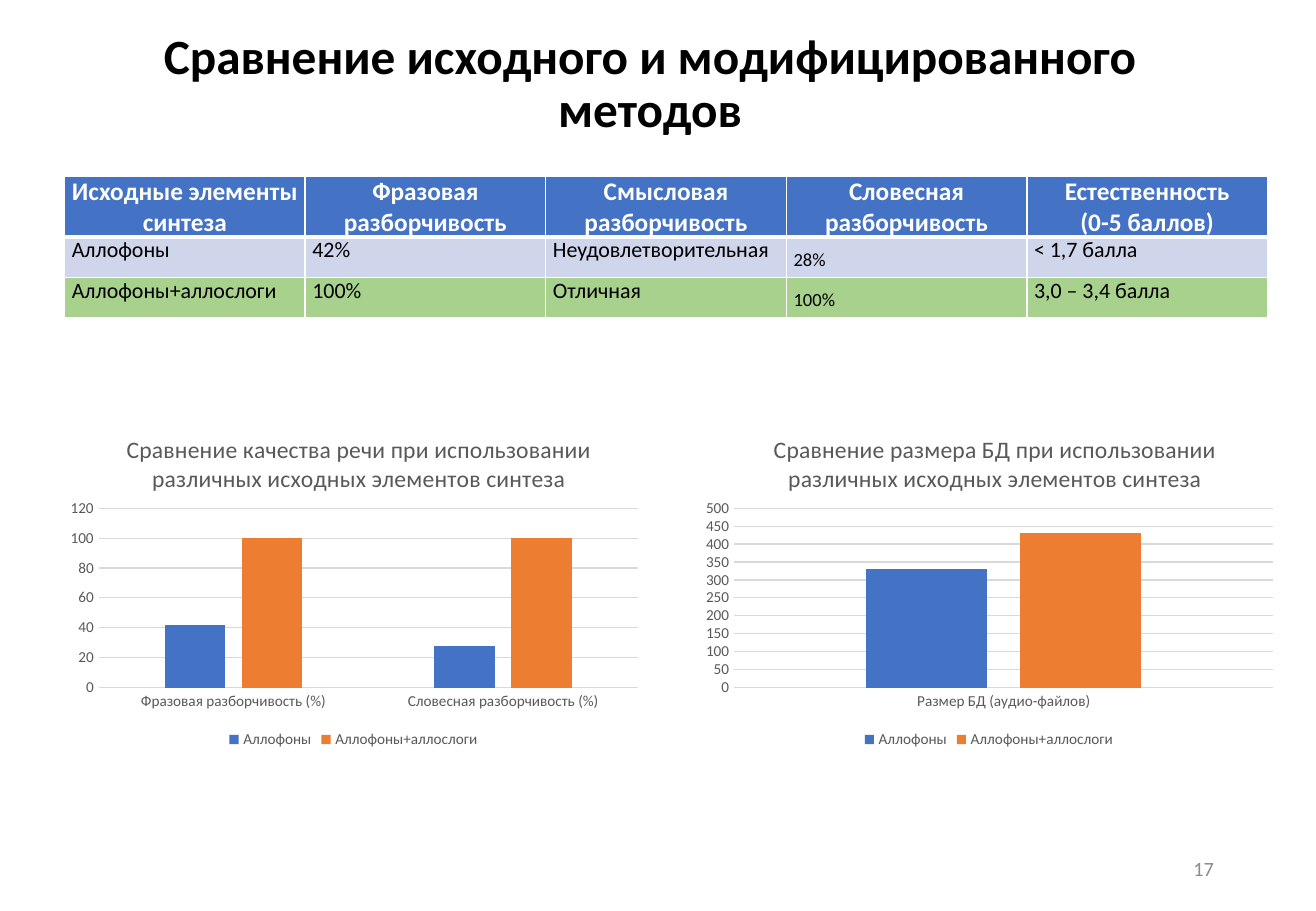
import pptx
import pptx.chart.data
import pptx.dml.color
import pptx.enum.chart
import pptx.enum.text
import pptx.oxml
import pptx.oxml.ns
import pptx.util

Pt = pptx.util.Pt
ALIGN = pptx.enum.text.PP_ALIGN
FONT = "Calibri"
COLORS = {
    "black": "000000", "white": "FFFFFF", "number": "8C8C8C",
    "chart text": "595959", "grid": "D9D9D9", "header": "4472C4",
    "original": "CFD5EA", "modified": "A9D18E",
    "Аллофоны": "4472C4", "Аллофоны+аллослоги": "ED7D31",
}
HEADINGS = ["Исходные элементы синтеза", "Фразовая разборчивость",
            "Смысловая разборчивость", "Словесная разборчивость",
            "Естественность\n(0-5 баллов)"]
RESULTS = {
    "original": ["Аллофоны", "42%", "Неудовлетворительная", "28%", "< 1,7 балла"],
    "modified": ["Аллофоны+аллослоги", "100%", "Отличная", "100%", "3,0 – 3,4 балла"],
}
WORD_COLUMN = 3


def rgb(name):
    return pptx.dml.color.RGBColor.from_string(COLORS[name])


def set_font(font, size, color, bold=False):
    font.name, font.size, font.bold = FONT, Pt(size), bold
    font.color.rgb = rgb(color)


def write(frame, text, size=13, color="black", bold=False, align=ALIGN.LEFT, spacing=None):
    """Fill a text frame, one paragraph per line of text."""
    frame.word_wrap = True
    frame.text = text
    for para in frame.paragraphs:
        para.alignment = align
        if spacing:
            para.line_spacing = spacing
        for span in para.runs:
            set_font(span.font, size, color, bold)


def add_text(page, left, top, width, height, text, **text_format):
    box = page.shapes.add_textbox(Pt(left), Pt(top), Pt(width), Pt(height))
    box.text_frame.vertical_anchor = pptx.enum.text.MSO_ANCHOR.MIDDLE
    write(box.text_frame, text, **text_format)


def set_borders(cell, **widths):
    properties = cell._tc.get_or_add_tcPr()
    for side in "LRTB":
        width = int(Pt(widths.get(side, 1)))
        properties.append(pptx.oxml.parse_xml(
            f'<a:ln{side} {pptx.oxml.ns.nsdecls("a")} w="{width}"><a:solidFill>'
            f'<a:srgbClr val="{COLORS["white"]}"/></a:solidFill></a:ln{side}>'))


def fill_cell(cell, text, fill, borders, **text_format):
    cell.margin_left = cell.margin_right = Pt(4.3)
    cell.margin_top = cell.margin_bottom = 0
    set_borders(cell, **borders)
    cell.fill.solid()
    cell.fill.fore_color.rgb = rgb(fill)
    write(cell.text_frame, text, **text_format)


def add_results_table(page):
    heights = [35.5, 24, 24]
    table = page.shapes.add_table(len(heights), len(HEADINGS), Pt(38.3), Pt(104.4),
                                  Pt(713), Pt(sum(heights))).table
    for row, height in zip(table.rows, heights):
        row.height = Pt(height)
    for column, heading in enumerate(HEADINGS):
        fill_cell(table.cell(0, column), heading, "header", {"B": 3},
                  size=15, color="white", bold=True, align=ALIGN.CENTER)
    for row, (fill, texts) in enumerate(RESULTS.items(), start=1):
        for column, text in enumerate(texts):
            word_format = {"size": 11, "spacing": 1.5} if column == WORD_COLUMN else {}
            fill_cell(table.cell(row, column), text, fill, {"T": 3 if row == 1 else 1},
                      align=ALIGN.JUSTIFY, **word_format)


def place(element, target=None, **fractions):
    """Set the manual layout of a chart part, as fractions of the chart."""
    for old in element.findall(pptx.oxml.ns.qn("c:layout")):
        element.remove(old)
    inner = f'<c:layoutTarget val="{target}"/>' if target else ""
    modes = "".join(f'<c:{key}Mode val="edge"/>' for key in "xy")
    values = "".join(f'<c:{key} val="{value}"/>' for key, value in fractions.items())
    layout = pptx.oxml.parse_xml(
        f'<c:layout {pptx.oxml.ns.nsdecls("c")}><c:manualLayout>{inner}{modes}{values}'
        f'</c:manualLayout></c:layout>')
    title_text = element.find(pptx.oxml.ns.qn("c:tx"))
    element.insert(0 if title_text is None else 1, layout)


def style_axes(chart, maximum, step):
    category, value = chart.category_axis, chart.value_axis
    for axis in (category, value):
        axis.major_tick_mark = axis.minor_tick_mark = pptx.enum.chart.XL_TICK_MARK.NONE
        set_font(axis.tick_labels.font, 9, "chart text")
    value.minimum_scale, value.maximum_scale, value.major_unit = 0, maximum, step
    value.format.line.fill.background()
    for line in (category.format.line, value.major_gridlines.format.line):
        line.color.rgb = rgb("grid")
        line.width = Pt(0.75)


def add_column_chart(page, left, title, title_left, categories, series, maximum, step):
    data = pptx.chart.data.CategoryChartData()
    data.categories = categories
    for name, values in series.items():
        data.add_series(name, values)
    chart = page.shapes.add_chart(pptx.enum.chart.XL_CHART_TYPE.COLUMN_CLUSTERED, Pt(left),
                                  Pt(242), Pt(351.4), Pt(204.5), data).chart
    set_font(chart.font, 10, "black")
    chart.has_title = True
    write(chart.chart_title.text_frame, title, size=14, color="chart text", align=ALIGN.CENTER)
    chart.chart_title.include_in_layout = False
    place(chart.chart_title._element, x=title_left, y=0.06)
    place(chart._chartSpace.chart.plotArea, target="inner", x=0.07, y=0.29, w=0.91, h=0.52)
    style_axes(chart, maximum, step)
    chart.has_legend = True
    chart.legend.position = pptx.enum.chart.XL_LEGEND_POSITION.BOTTOM
    chart.legend.include_in_layout = False
    set_font(chart.legend.font, 9, "chart text")
    plot = chart.plots[0]
    plot.vary_by_categories = False
    plot.gap_width, plot.overlap = 219, -27
    for bars in plot.series:
        bars.format.fill.solid()
        bars.format.fill.fore_color.rgb = rgb(bars.name)


def main():
    deck = pptx.Presentation()
    deck.slide_width, deck.slide_height = Pt(780), Pt(540)
    page = deck.slides.add_slide(deck.slide_layouts[6])
    add_text(page, 49, 32.4, 672.5, 36, "Сравнение исходного и модифицированного методов",
             size=29.2, bold=True, align=ALIGN.CENTER, spacing=0.9)
    add_results_table(page)
    add_text(page, 551, 500.5, 175.5, 29, "17", size=12, color="number", align=ALIGN.RIGHT)
    add_column_chart(
        page, 33.8,
        "Сравнение качества речи при использовании различных исходных элементов синтеза", 0.11,
        ["Фразовая разборчивость (%)", "Словесная разборчивость (%)"],
        {"Аллофоны": [42, 28], "Аллофоны+аллослоги": [100, 100]}, maximum=120, step=20)
    add_column_chart(
        page, 410.4,
        "Сравнение размера БД при использовании различных исходных элементов синтеза", 0.13,
        ["Размер БД (аудио-файлов)"],
        {"Аллофоны": [330], "Аллофоны+аллослоги": [430]}, maximum=500, step=50)
    deck.save("out.pptx")


if __name__ == "__main__":
    main()
